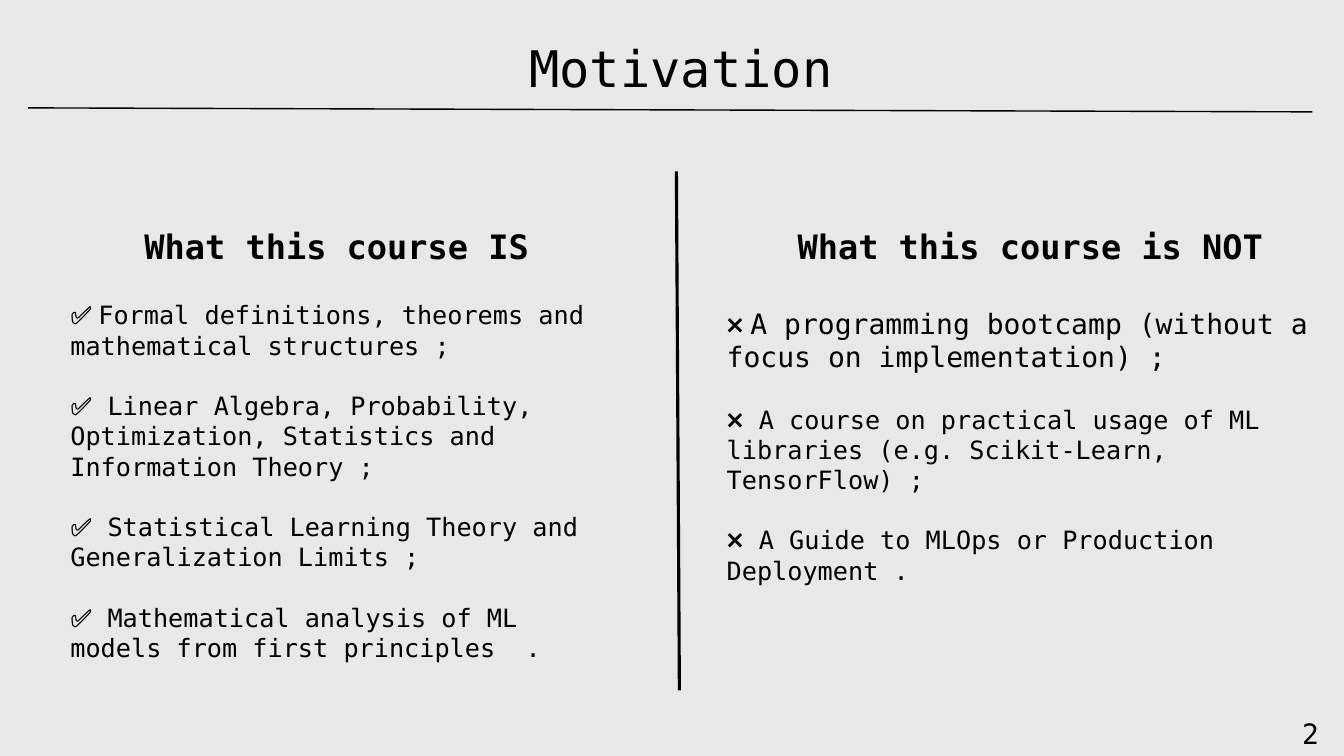
from lxml import etree
from pptx import Presentation, util as u
from pptx.dml.color import RGBColor
from pptx.enum import shapes, text
from pptx.oxml.ns import qn

BLACK = RGBColor(0x00, 0x00, 0x00)
PALE_GREY = RGBColor(0xE8, 0xE8, 0xE8)
MONO = "DejaVu Sans Mono"
SANS = "Karla"
WIDTH, HEIGHT = u.Inches(13.33), u.Inches(7.5)
LINE_HEIGHT = 1.2

COURSE_IS = [
    "Formal definitions, theorems and mathematical structures ;",
    "Linear Algebra, Probability, Optimization, Statistics and Information Theory ;",
    "Statistical Learning Theory and Generalization Limits ;",
    "Mathematical analysis of ML models from first principles  .",
]
COURSE_IS_NOT = [
    "A programming bootcamp (without a focus on implementation) ;",
    "A course on practical usage of ML libraries (e.g. Scikit-Learn, TensorFlow) ;",
    "A Guide to MLOps or Production Deployment .",
]


def across(percent):
    """Turn a percentage of the slide width into a length."""
    return u.Emu(round(WIDTH * percent / 100))


def down(percent):
    """Turn a percentage of the slide height into a length."""
    return u.Emu(round(HEIGHT * percent / 100))


def add_run(paragraph, wording, size=18, font=MONO, bold=False):
    """Append formatted wording to a paragraph."""
    run = paragraph.add_run()
    run.text = wording
    run.font.size = u.Pt(size)
    run.font.name = font
    run.font.bold = bold
    run.font.color.rgb = BLACK


def add_frame(slide, left, top, width, height):
    """Add a wrapping text area placed in percentages of the slide."""
    area = slide.shapes.add_textbox(across(left), down(top), across(width), down(height))
    frame = area.text_frame
    frame.word_wrap = True
    frame.auto_size = text.MSO_AUTO_SIZE.SHAPE_TO_FIT_TEXT
    return frame


def add_label(frame, wording, align=text.PP_ALIGN.LEFT, **style):
    """Fill the first paragraph of a frame with one run."""
    label = frame.paragraphs[0]
    label.alignment = align
    add_run(label, wording, **style)


def add_rule(slide, start, end, weight):
    """Draw a black line between two points given in percentages."""
    rule = slide.shapes.add_connector(
        shapes.MSO_CONNECTOR.STRAIGHT,
        across(start[0]), down(start[1]), across(end[0]), down(end[1]))
    rule.line.color.rgb = BLACK
    rule.line.width = u.Pt(weight)
    etree.SubElement(rule._element.spPr, qn("a:effectLst"))


def add_column(slide, place, heading, mark, points, lead_size, lead_gap):
    """Add a heading and its marked points, the first one styled apart."""
    frame = add_frame(slide, *place)
    add_label(frame, heading, align=text.PP_ALIGN.CENTER, size=24, bold=True)
    for index, wording in enumerate(points):
        point = frame.add_paragraph()
        gap = 18 if index else lead_gap
        point.space_before = u.Pt(gap * LINE_HEIGHT)
        if index:
            add_run(point, f"{mark} {wording}")
        else:
            add_run(point, mark, font=SANS)
            add_run(point, " ", size=lead_size, font=SANS)
            add_run(point, wording, size=lead_size)


def main():
    """Build the motivation slide and save it."""
    deck = Presentation()
    deck.slide_width, deck.slide_height = WIDTH, HEIGHT
    slide = deck.slides.add_slide(deck.slide_layouts[6])
    slide.background.fill.solid()
    slide.background.fill.fore_color.rgb = PALE_GREY

    add_label(add_frame(slide, 96.15, 94.13, 3.83, 5.87), "2", size=20)
    add_label(add_frame(slide, 15.3, 4.27, 70.73, 9.47), "Motivation",
              align=text.PP_ALIGN.CENTER, size=36)
    add_rule(slide, (97.65, 14.8), (2.1, 14.27), 1)
    add_column(slide, (4.5, 29.2, 41.1, 59.73), "What this course IS", "✅",
               COURSE_IS, lead_size=18, lead_gap=20)
    add_column(slide, (53.33, 29.2, 46.65, 45.33), "What this course is NOT", "❌",
               COURSE_IS_NOT, lead_size=20, lead_gap=24)
    add_rule(slide, (50.33, 22.67), (50.55, 91.33), 2.25)

    deck.save("out.pptx")


if __name__ == "__main__":
    main()
